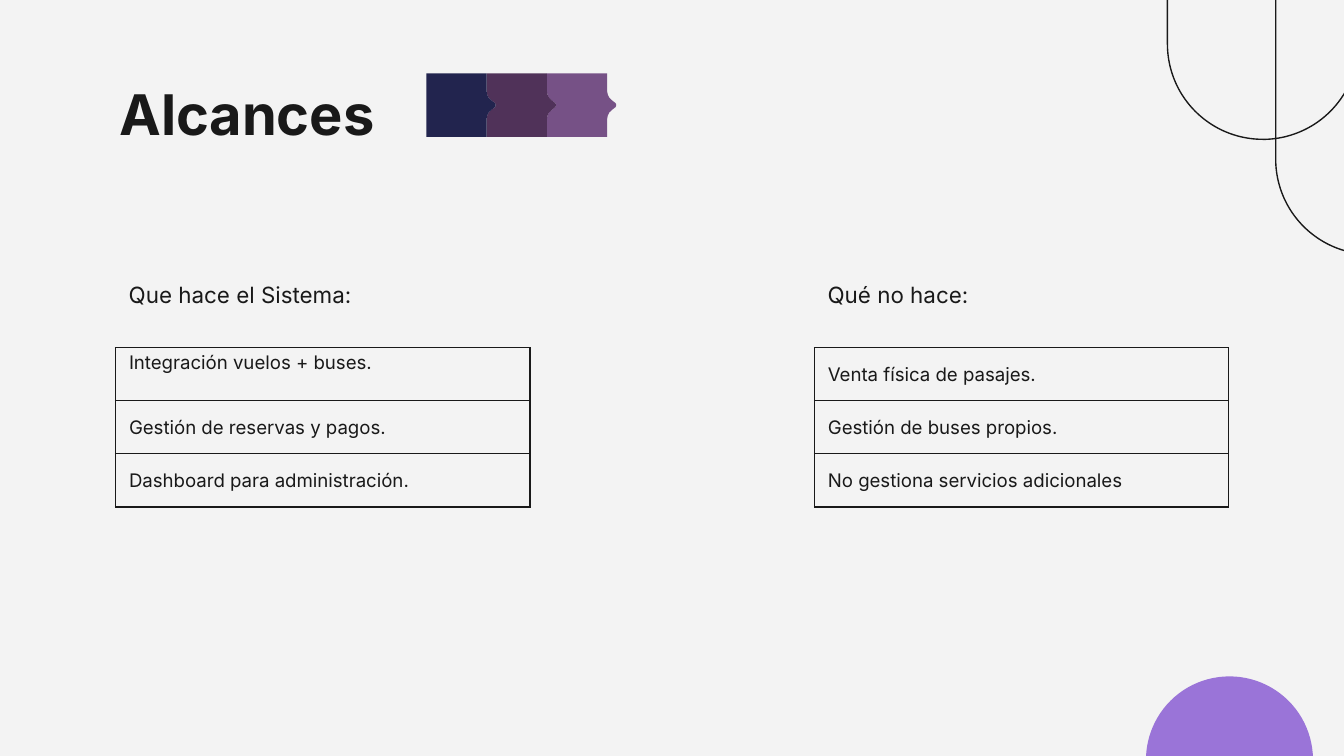
from lxml.etree import SubElement
from pptx import Presentation
from pptx.dml.color import RGBColor
from pptx.enum.shapes import MSO_SHAPE
from pptx.enum.text import MSO_ANCHOR
from pptx.oxml import parse_xml
from pptx.oxml.ns import nsdecls, qn
from pptx.util import Pt

INK = "191919"
FONT = "Inter"
TABLE_WIDTH = 222
ROW_HEIGHT = 28.44
CHEVRON_TOP, CHEVRON_WIDTH, CHEVRON_HEIGHT = 39.4, 32.3, 33.9
UPPER_EDGE = [(0, 0), (0, 9.6), (0.3, 11.3), (1.1, 13), (2.6, 14.4), (4.4, 15.8), (4.8, 16.5)]
POINTED_EDGE = UPPER_EDGE + [(x, CHEVRON_HEIGHT - y) for x, y in reversed(UPPER_EDGE)]
FLAT_EDGE = [(0, 0), (0, CHEVRON_HEIGHT)]


def color(value):
    return RGBColor.from_string(value)


def add_run(paragraph, text, size, bold=False):
    run = paragraph.add_run()
    run.text = text
    run.font.name = FONT
    run.font.size = Pt(size)
    run.font.bold = bold
    run.font.color.rgb = color(INK)


def add_text(slide, text, left, top, width, height, size, bold=False):
    frame = slide.shapes.add_textbox(Pt(left), Pt(top), Pt(width), Pt(height)).text_frame
    frame.word_wrap = True
    frame.margin_left = frame.margin_right = Pt(7.2)
    frame.margin_top = frame.margin_bottom = Pt(7.2)
    add_run(frame.paragraphs[0], text, size, bold)


def add_outline_pill(slide, left, top):
    shape = slide.shapes.add_shape(
        MSO_SHAPE.ROUNDED_RECTANGLE, Pt(left), Pt(top), Pt(228.2), Pt(102.2))
    shape.adjustments[0] = 0.5
    shape.rotation = 270
    shape.shadow.inherit = False
    shape.fill.background()
    shape.line.color.rgb = color(INK)
    shape.line.width = Pt(0.75)


def add_half_disc(slide, left, top, diameter, fill):
    shape = slide.shapes.add_shape(
        MSO_SHAPE.CHORD, Pt(left), Pt(top), Pt(diameter), Pt(diameter))
    shape.adjustments[0] = 1.14
    shape.adjustments[1] = 107.35
    shape.rotation = 180
    fill_plain(shape, fill)


def fill_plain(shape, fill):
    shape.shadow.inherit = False
    shape.fill.solid()
    shape.fill.fore_color.rgb = color(fill)
    shape.line.fill.background()


def add_chevron(slide, left, fill, left_edge):
    outline = [(left + x, y) for x, y in left_edge]
    outline += [(left + CHEVRON_WIDTH + x, y) for x, y in reversed(POINTED_EDGE)]
    points = [(Pt(x), Pt(CHEVRON_TOP + y)) for x, y in outline]
    builder = slide.shapes.build_freeform(*points[0], scale=1.0)
    builder.add_line_segments(points[1:], close=True)
    fill_plain(builder.convert_to_shape(), fill)


def add_borders(cell):
    properties = cell._tc.get_or_add_tcPr()
    for index, side in enumerate(("lnL", "lnR", "lnT", "lnB")):
        line = parse_xml(f'<a:{side} {nsdecls("a")} w="{Pt(0.75)}"/>')
        fill = SubElement(line, qn("a:solidFill"))
        SubElement(fill, qn("a:srgbClr"), val=INK)
        properties.insert(index, line)


def add_list_table(slide, left, top, items):
    table = slide.shapes.add_table(
        len(items), 1, Pt(left), Pt(top), Pt(TABLE_WIDTH), Pt(ROW_HEIGHT * len(items))).table
    table.first_row = table.horz_banding = False
    for row, text in enumerate(items):
        table.rows[row].height = Pt(ROW_HEIGHT)
        cell = table.cell(row, 0)
        cell.fill.background()
        cell.vertical_anchor = MSO_ANCHOR.MIDDLE
        cell.margin_left = cell.margin_right = Pt(7.2)
        cell.margin_top = cell.margin_bottom = 0
        paragraph = cell.text_frame.paragraphs[0]
        paragraph.space_after = Pt(16)
        add_run(paragraph, text, 10)
        add_borders(cell)
    return table


def main():
    presentation = Presentation()
    presentation.slide_width = Pt(720)
    presentation.slide_height = Pt(405)
    slide = presentation.slides.add_slide(presentation.slide_layouts[6])
    slide.background.fill.solid()
    slide.background.fill.fore_color.rgb = color("F3F3F3")

    add_half_disc(slide, 613.9, 362.3, 89.5, "9A74D8")
    add_outline_pill(slide, 562.4, -90.6)
    add_outline_pill(slide, 620.4, -28.9)

    add_text(slide, "Alcances", 56.9, 35.6, 607, 45.4, 30, bold=True)
    add_text(slide, "Que hace el Sistema:", 61.9, 143.3, 205, 26, 12)
    scope = add_list_table(slide, 61.9, 186.3, [
        "Integración vuelos + buses.",
        "Gestión de reservas y pagos.",
        "Dashboard para administración.",
    ])
    scope.cell(0, 0).margin_bottom = Pt(12)
    add_text(slide, "Qué no hace:", 436.3, 143.3, 101.5, 26, 12)
    add_list_table(slide, 436.3, 186.3, [
        "Venta física de pasajes.",
        "Gestión de buses propios.",
        "No gestiona servicios adicionales",
    ])

    chevrons = [("22244E", FLAT_EDGE), ("503259", POINTED_EDGE), ("765186", POINTED_EDGE)]
    for index, (fill, left_edge) in reversed(list(enumerate(chevrons))):
        add_chevron(slide, 228.4 + index * CHEVRON_WIDTH, fill, left_edge)

    presentation.save("out.pptx")


if __name__ == "__main__":
    main()
